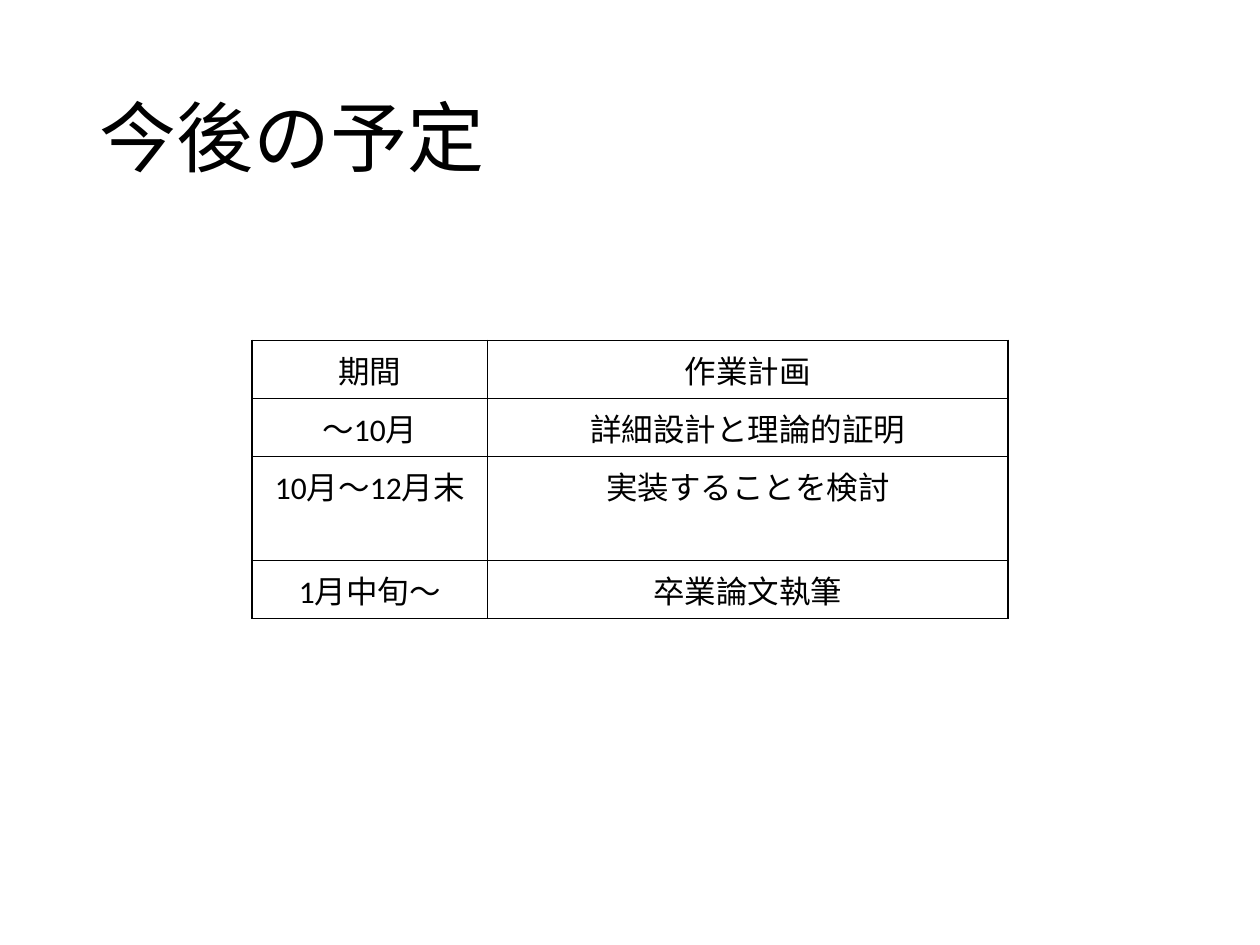
import lxml.etree
import pptx
import pptx.dml.color
import pptx.enum.text
import pptx.oxml.ns
import pptx.util

Cm = pptx.util.Cm
Pt = pptx.util.Pt
ALIGN = pptx.enum.text.PP_ALIGN
ANCHOR = pptx.enum.text.MSO_ANCHOR
qn = pptx.oxml.ns.qn

COLORS = {"text": "000000", "border": "000000", "background": "FFFFFF"}

ONE_LINE = 1.17
TWO_LINES = 2.1

SCHEDULE = [
    (ONE_LINE, ("期間", "作業計画")),
    (ONE_LINE, ("～10月", "詳細設計と理論的証明")),
    (TWO_LINES, ("10月～12月末", "実装することを検討")),
    (ONE_LINE, ("1月中旬～", "卒業論文執筆")),
]


def rgb(name):
    return pptx.dml.color.RGBColor.from_string(COLORS[name])


def write(tf, text, size=18, color="text", font="Calibri", align=ALIGN.LEFT, spacing=None):
    p = tf.paragraphs[0]
    p.alignment = align
    if spacing:
        p.line_spacing = spacing
    r = p.add_run()
    r.text = text
    r.font.name = font
    r.font.size = Pt(size)
    r.font.color.rgb = rgb(color)


class SlideBuilder:
    def __init__(self, s, font="Calibri", border_width=1):
        self.s = s
        self.font = font
        self.border_width = border_width

    def background(self, color):
        fill = self.s.background.fill
        fill.solid()
        fill.fore_color.rgb = rgb(color)

    def title(self, text, left, top, width, height):
        sp = self.s.shapes.add_textbox(Cm(left), Cm(top), Cm(width), Cm(height))
        tf = sp.text_frame
        tf.word_wrap = True
        tf.vertical_anchor = ANCHOR.MIDDLE
        write(tf, text, size=44, font=self.font, spacing=0.9)

    def borders(self, cell):
        tc_pr = cell._tc.get_or_add_tcPr()
        for side in ("lnL", "lnR", "lnT", "lnB"):
            ln = lxml.etree.SubElement(tc_pr, qn(f"a:{side}"), w=str(Pt(self.border_width)))
            fill = lxml.etree.SubElement(ln, qn("a:solidFill"))
            lxml.etree.SubElement(fill, qn("a:srgbClr"), val=COLORS["border"])

    def table(self, rows, left, top, col_widths):
        frame = self.s.shapes.add_table(
            len(rows), len(col_widths), Cm(left), Cm(top),
            Cm(sum(col_widths)), Cm(sum(height for height, _ in rows)),
        )
        table = frame.table
        table.first_row = False
        table.horz_banding = False
        for column, width in zip(table.columns, col_widths):
            column.width = Cm(width)
        for row, (height, texts) in zip(table.rows, rows):
            row.height = Cm(height)
            for cell, text in zip(row.cells, texts):
                self.borders(cell)
                cell.fill.background()
                write(cell.text_frame, text, font=self.font, align=ALIGN.CENTER)


def main():
    prs = pptx.Presentation()
    prs.slide_width = Cm(25.4)
    prs.slide_height = Cm(19.05)
    builder = SlideBuilder(prs.slides.add_slide(prs.slide_layouts[6]))
    builder.background("background")
    builder.title("今後の予定", 1.75, 1.01, 21.9, 3.68)
    builder.table(SCHEDULE, 5.08, 6.86, (4.75, 10.49))
    prs.save("out.pptx")


if __name__ == "__main__":
    main()
